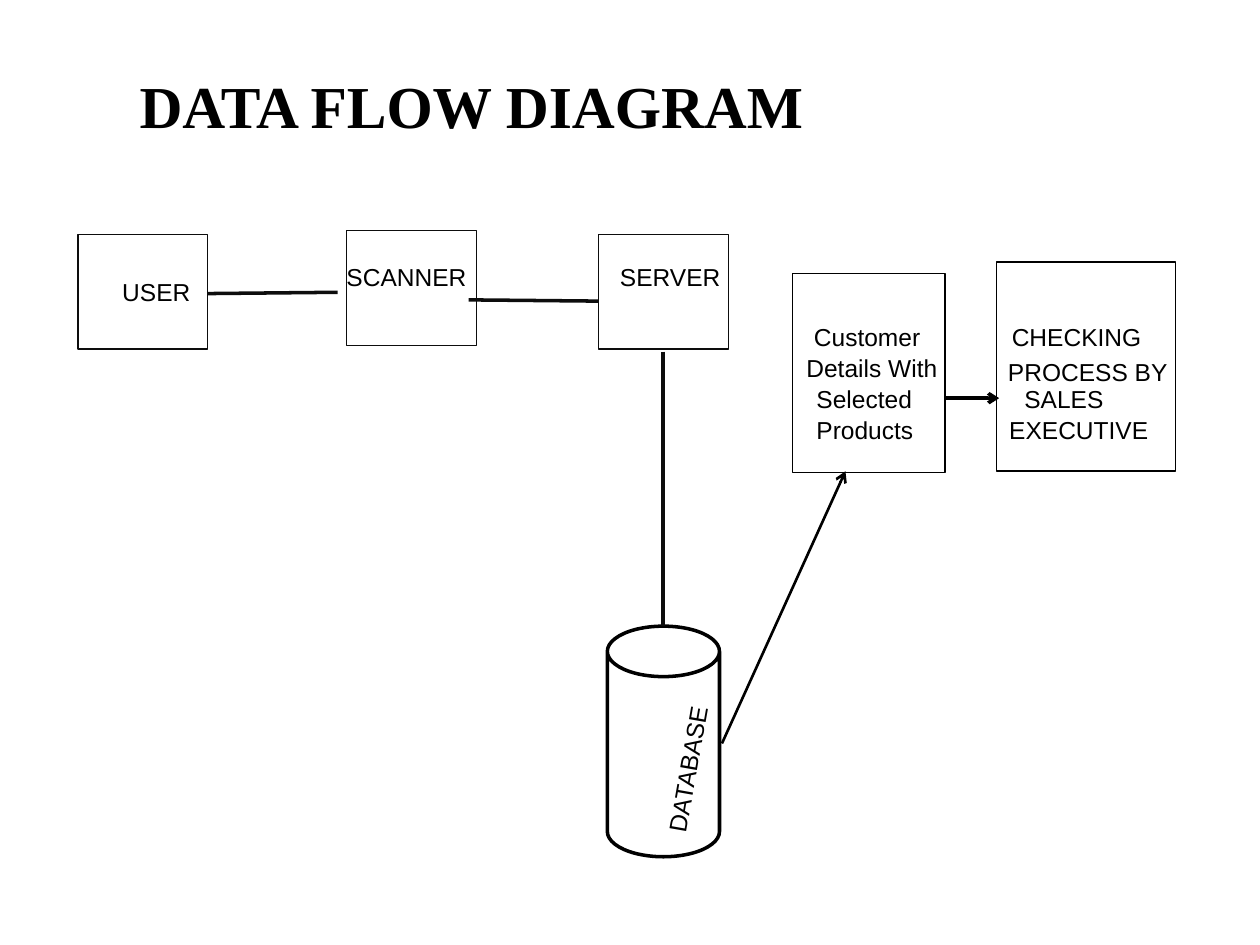
from lxml import etree
from pptx import Presentation
from pptx.dml.color import RGBColor
from pptx.enum.shapes import MSO_CONNECTOR, MSO_SHAPE
from pptx.enum.text import MSO_ANCHOR
from pptx.oxml.ns import qn
from pptx.util import Inches, Pt

RECT, CAN = MSO_SHAPE.RECTANGLE, MSO_SHAPE.CAN
STRAIGHT = MSO_CONNECTOR.STRAIGHT
BOTTOM = MSO_ANCHOR.BOTTOM

COLORS = {"ink": "000000", "soft": "0D0D0D", "paper": "FFFFFF"}
HAIRLINE, BOLD = 0, 2
LABEL_H = 0.24
ROW_1, ROW_STEP = 2.56, 0.245  # first text row and pitch in the tall boxes

TITLE = "DATA FLOW DIAGRAM"

# left, top, width, height, line colour
NODE = (1.03, 0.91)
BOXES = [
    (0.62, 1.86, *NODE, "soft"),
    (2.75, 1.83, *NODE, "soft"),
    (4.75, 1.86, *NODE, "soft"),
    (6.29, 2.17, 1.21, 1.58, "ink"),
    (7.91, 2.08, 1.42, 1.66, "ink"),
]
DATABASE = (4.82, 4.97, 0.89, 1.83)

# text, left, top, width, rotation
NODE_LABELS = [
    ("USER", 0.97, 2.2, 0.55, 0),
    ("SCANNER", 2.75, 2.08, 1.13, 0),
    ("SERVER", 4.92, 2.08, 0.91, 0),
    ("DATABASE", 4.95, 5.98, 1.02, 280),
]
# text, left, width, shift below the regular row
ROW_LABELS = [
    [("Customer", 6.46, 0.9, 0), ("Details With", 6.4, 1.1, 0),
     ("Selected", 6.48, 0.82, 0), ("Products", 6.48, 0.77, 0)],
    [("CHECKING", 8.03, 1.09, 0), ("PROCESS BY", 8, 1.33, 0.03),
     ("SALES", 8.13, 0.69, 0), ("EXECUTIVE", 8.01, 1.17, 0)],
]

# from, to, colour, width, arrowhead
LINKS = [
    ((1.65, 2.33), (2.68, 2.32), "soft", HAIRLINE, False),
    ((3.72, 2.38), (4.75, 2.39), "soft", HAIRLINE, False),
    ((5.26, 2.79), (5.26, 4.97), "soft", HAIRLINE, False),
    ((5.73, 5.9), (6.71, 3.74), "ink", 1.5, True),
    ((7.5, 3.16), (7.93, 3.16), "ink", BOLD, True),
]


def rgb(name):
    return RGBColor.from_string(COLORS[name])


def add_outlined(slide, kind, frame, color, width):
    sp = slide.shapes.add_shape(kind, *map(Inches, frame))
    sp.shadow.inherit = False
    sp.fill.solid()
    sp.fill.fore_color.rgb = rgb("paper")
    sp.line.color.rgb = rgb(color)
    sp.line.width = Pt(width)
    return sp


def add_text(slide, text, frame, size, font="Arial", bold=None):
    sp = slide.shapes.add_textbox(*map(Inches, frame))
    tf = sp.text_frame
    tf.text = text
    r = tf.paragraphs[0].runs[0]
    r.font.size, r.font.name, r.font.bold = Pt(size), font, bold
    r.font.color.rgb = rgb("ink")
    return sp


def add_label(slide, text, left, top, width, rotation=0):
    sp = add_text(slide, text, (left, top, width, LABEL_H), 14)
    tf = sp.text_frame
    tf.margin_left = tf.margin_right = tf.margin_top = tf.margin_bottom = 0
    tf.word_wrap = False
    sp.rotation = rotation


def add_link(slide, start, end, color, width, arrow):
    cx = slide.shapes.add_connector(STRAIGHT, *map(Inches, start + end))
    cx.line.color.rgb = rgb(color)
    cx.line.width = Pt(width)
    if arrow:
        etree.SubElement(cx.line._get_or_add_ln(), qn("a:tailEnd"), type="arrow")
    etree.SubElement(cx._element.spPr, qn("a:effectLst"))


def main():
    prs = Presentation()
    prs.slide_width, prs.slide_height = Inches(10), Inches(7.5)
    slide = prs.slides.add_slide(prs.slide_layouts[6])

    title = add_text(slide, TITLE, (1.01, 0, 8, 1.17), 34, "Times New Roman", True)
    title.text_frame.word_wrap = True
    title.text_frame.vertical_anchor = BOTTOM
    title.text_frame.paragraphs[0].line_spacing = 0.9

    for *frame, color in BOXES:
        add_outlined(slide, RECT, frame, color, HAIRLINE)
    can = add_outlined(slide, CAN, DATABASE, "ink", BOLD)
    can.adjustments[0] = 0.45

    for link in LINKS:
        add_link(slide, *link)
    for label in NODE_LABELS:
        add_label(slide, *label)
    for rows in ROW_LABELS:
        for i, (text, left, width, shift) in enumerate(rows):
            add_label(slide, text, left, ROW_1 + i * ROW_STEP + shift, width)

    prs.save("out.pptx")


if __name__ == "__main__":
    main()
